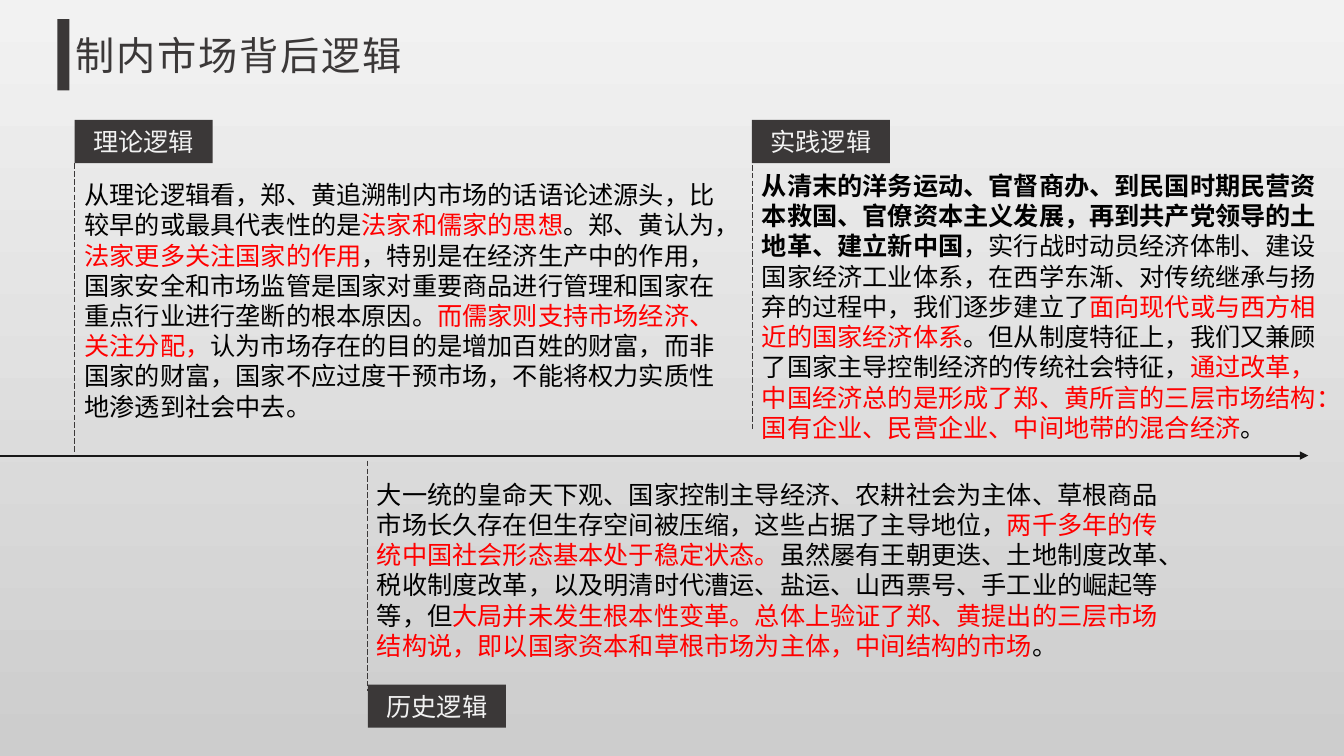
"""Build the slide on the three logics behind the market within the state."""
from lxml.etree import SubElement as Sub
from pptx import Presentation
from pptx.dml.color import RGBColor as RGB
from pptx.enum.dml import MSO_LINE as Dash
from pptx.enum.shapes import MSO_CONNECTOR as Conn, MSO_SHAPE as Kind
from pptx.enum.text import MSO_ANCHOR as Anchor, MSO_AUTO_SIZE as Auto, PP_ALIGN as Align
from pptx.oxml.ns import qn
from pptx.util import Cm, Pt

HUES = {"dark": "3B3838", "axis": "181717", "pale": "F2F2F2", "deep": "CDCDCD",
        "text": "000000", "red": "FF0000"}
FONT = "Noto Sans CJK SC"
TITLE = "制内市场背后逻辑"
TAG = (3.48, 1.09)
AXIS = (0, 11.48, 32.97, 11.48)

PARTS = [
    {"tag": "理论逻辑", "at": (1.88, 3.02), "rule": (4.11, 11.38),
     "box": (1.88, 4.34, 16.48, 6.1), "runs": [
         ("text", "从理论逻辑看，郑、黄追溯制内市场的话语论述源头，比较早的或最具代表性的是"),
         ("red", "法家和儒家的思想"),
         ("text", "。郑、黄认为，"),
         ("red", "法家更多关注国家的作用"),
         ("text", "，特别是在经济生产中的作用，国家安全和市场监管是国家对重要商品进行管理"
                  "和国家在重点行业进行垄断的根本原因。"),
         ("red", "而儒家则支持市场经济、关注分配，"),
         ("text", "认为市场存在的目的是增加百姓的财富，而非国家的财富，国家不应过度干预市场，"
                  "不能将权力实质性地渗透到社会中去。")]},
    {"tag": "实践逻辑", "at": (18.95, 3.02), "rule": (3.56, 10.82),
     "box": (18.95, 4.11, 14.53, 6.93), "runs": [
         ("bold", "从清末的洋务运动、官督商办、到民国时期民营资本救国、官僚资本主义发展，"
                  "再到共产党领导的土地革、建立新中国"),
         ("text", "，实行战时动员经济体制、建设国家经济工业体系，在西学东渐、"
                  "对传统继承与扬弃的过程中，我们逐步建立了"),
         ("red", "面向现代或与西方相近的国家经济体系"),
         ("text", "。但从制度特征上，我们又兼顾了国家主导控制经济的传统社会特征，"),
         ("red", "通过改革，中国经济总的是形成了郑、黄所言的三层市场结构："
                 "国有企业、民营企业、中间地带的混合经济"),
         ("text", "。")]},
    {"tag": "历史逻辑", "at": (9.27, 17.25), "rule": (11.61, 17.42),
     "box": (9.25, 11.89, 20.22, 4.52), "runs": [
         ("text", "大一统的皇命天下观、国家控制主导经济、农耕社会为主体、草根商品市场"
                  "长久存在但生存空间被压缩，这些占据了主导地位，"),
         ("red", "两千多年的传统中国社会形态基本处于稳定状态。"),
         ("text", "虽然屡有王朝更迭、土地制度改革、税收制度改革，以及明清时代漕运、盐运、"
                  "山西票号、手工业的崛起等等，但"),
         ("red", "大局并未发生根本性变革。总体上验证了郑、黄提出的三层市场结构说，"
                 "即以国家资本和草根市场为主体，中间结构的市场"),
         ("text", "。")]},
]

LOOKS = {
    "title": {"size": Pt(28), "bold": False, "name": FONT},
    "tag": {"size": Pt(18), "bold": False, "name": FONT},
    "text": {"size": Pt(18), "bold": False, "name": FONT},
    "red": {"size": Pt(18), "bold": False, "name": FONT},
    "bold": {"size": Pt(18), "bold": True, "name": "Calibri"},
}
INKS = {"title": "dark", "tag": "pale", "text": "text", "red": "red", "bold": "text"}
FRAMES = {
    "label": {"vertical_anchor": Anchor.MIDDLE, "auto_size": Auto.NONE, "word_wrap": True},
    "body": {"vertical_anchor": Anchor.TOP, "auto_size": Auto.NONE, "word_wrap": True,
             "margin_top": Cm(0.18)},
}


def hue(key):
    return RGB.from_string(HUES[key])


def put(item, looks):
    for key, val in looks.items():
        setattr(item, key, val)


def write(par, text, look):
    run = par.add_run()
    run.text = text
    put(run.font, LOOKS[look])
    run.font.color.rgb = hue(INKS[look])
    props = run.font._element
    Sub(props, qn("a:ea"), typeface=FONT)
    return props


def block(slide, box):
    shape = slide.shapes.add_shape(Kind.RECTANGLE, *map(Cm, box))
    shape.shadow.inherit = False
    shape.fill.solid()
    shape.fill.fore_color.rgb = hue("dark")
    shape.line.fill.background()
    return shape


def rule(slide, ends, ink, width):
    line = slide.shapes.add_connector(Conn.STRAIGHT, *map(Cm, ends))
    line.line.color.rgb = hue(ink)
    line.line.width = Pt(width)
    Sub(line._element.spPr, qn("a:effectLst"))
    return line


def label(frame, text, look, align):
    put(frame, FRAMES["label"])
    par = frame.paragraphs[0]
    par.alignment = align
    return write(par, text, look)


def head(slide):
    title = slide.shapes.title
    put(title, dict(zip(("left", "top", "width", "height"),
                        map(Cm, (1.65, 0.74, 11.1, 1.3)))))
    label(title.text_frame, TITLE, "title", Align.LEFT).set("spc", "140")
    block(slide, (1.45, 0.48, 0.3, 1.8))


def part(slide, data):
    left, top = data["at"]
    start, end = data["rule"]
    line = rule(slide, (left, start, left, end), "dark", 0.5)
    line.line.dash_style = Dash.LONG_DASH
    tag = block(slide, (left, top, *TAG))
    label(tag.text_frame, data["tag"], "tag", Align.CENTER)
    frame = slide.shapes.add_textbox(*map(Cm, data["box"])).text_frame
    put(frame, FRAMES["body"])
    par = frame.paragraphs[0]
    par.line_spacing = Pt(21.6)
    for look, text in data["runs"]:
        write(par, text, look)


def main():
    deck = Presentation()
    put(deck, {"slide_width": Cm(33.87), "slide_height": Cm(19.05)})
    slide = deck.slides.add_slide(deck.slide_layouts[5])
    fill = slide.background.fill
    fill.gradient()
    fill.gradient_angle = 270
    for stop, key in zip(fill.gradient_stops, ("pale", "deep")):
        stop.color.rgb = hue(key)
    axis = rule(slide, AXIS, "axis", 1.5)
    Sub(axis.line._get_or_add_ln(), qn("a:tailEnd"), type="triangle")
    for data in PARTS:
        part(slide, data)
    head(slide)
    deck.save("out.pptx")


if __name__ == "__main__":
    main()
